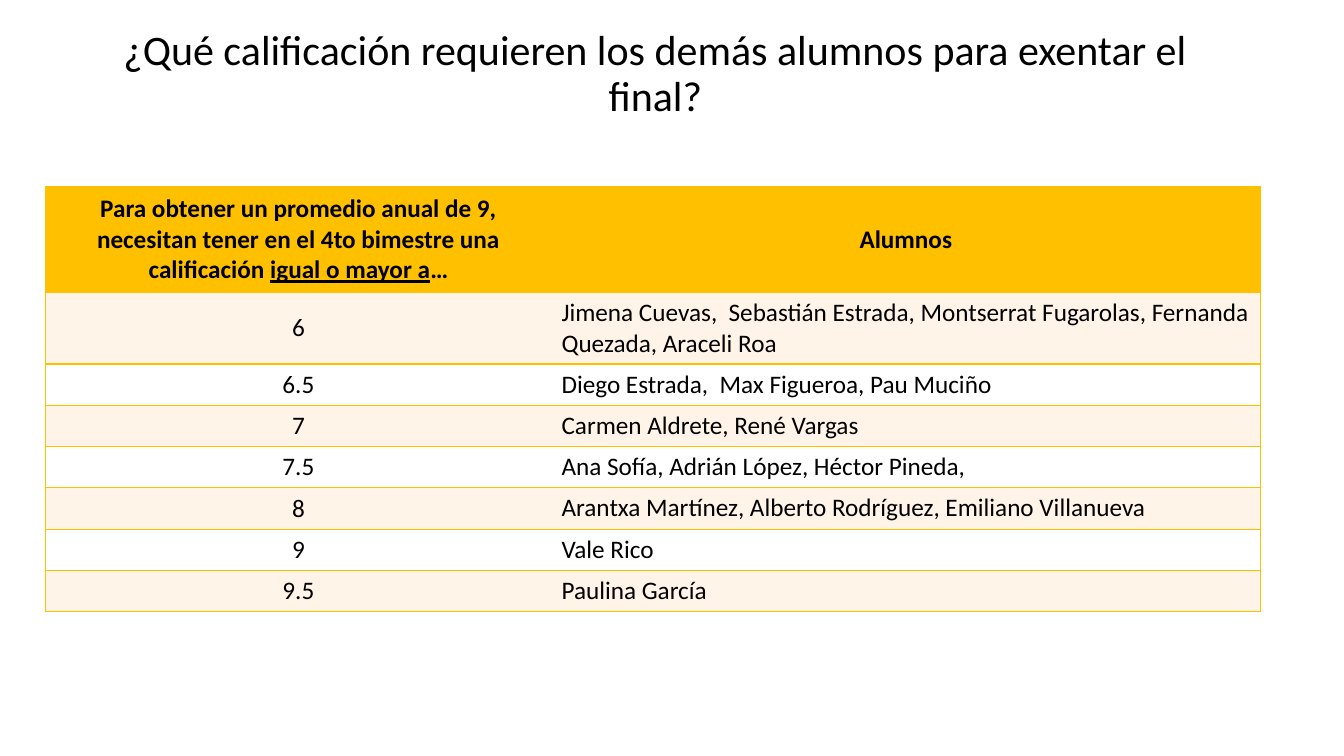
from lxml import etree
from pptx import Presentation
from pptx.dml.color import RGBColor
from pptx.enum.text import MSO_ANCHOR, MSO_AUTO_SIZE, PP_ALIGN
from pptx.oxml.ns import qn
from pptx.util import Inches, Pt

CENTER, LEFT = PP_ALIGN.CENTER, PP_ALIGN.LEFT
MIDDLE, TOP = MSO_ANCHOR.MIDDLE, MSO_ANCHOR.TOP
NO_AUTOFIT = MSO_AUTO_SIZE.NONE

BLACK = RGBColor(0x00, 0x00, 0x00)
WHITE = RGBColor(0xFF, 0xFF, 0xFF)
AMBER = RGBColor(0xFF, 0xC0, 0x00)
CREAM = RGBColor(0xFF, 0xF4, 0xE7)
FONT = "Calibri"

SLIDE_SIZE = (13.33, 7.5)
TITLE_BOX = (0.75, 0.02, 11.5, 1.45)
TABLE_BOX = (0.45, 1.85, 12.05, 4.22)
GRADE_SHARE = 5.02 / 12.05
HEADER_HEIGHT, TALL_HEIGHT, ROW_HEIGHT = 1.05, 0.71, 0.41

TITLE = "¿Qué calificación requieren los demás alumnos para exentar el final?"
# Each header span is (text, underlined)
GRADE_HEADER = [
    ("Para obtener un promedio anual de 9, necesitan tener en el 4to "
     "bimestre una calificación ", False),
    ("igual o mayor a", True),
    ("…", False),
]
STUDENTS_HEADER = [("Alumnos", False)]
STUDENTS_BY_GRADE = [
    ("6", "Jimena Cuevas,  Sebastián Estrada, Montserrat Fugarolas, "
          "Fernanda Quezada, Araceli Roa"),
    ("6.5", "Diego Estrada,  Max Figueroa, Pau Muciño"),
    ("7", "Carmen Aldrete, René Vargas"),
    ("7.5", "Ana Sofía, Adrián López, Héctor Pineda,"),
    ("8", "Arantxa Martínez, Alberto Rodríguez, Emiliano Villanueva"),
    ("9", "Vale Rico"),
    ("9.5", "Paulina García"),
]


def add_span(para, text, size, bold=False, underline=False):
    span = para.add_run()
    span.text = text
    span.font.name = FONT
    span.font.size = Pt(size)
    span.font.bold = bold
    span.font.underline = underline
    span.font.color.rgb = BLACK


def set_border(cell, side, color=None):
    """Draw a one-point border, or hide it when no colour is given."""
    line = etree.SubElement(cell._tc.get_or_add_tcPr(), qn(f"a:ln{side}"))
    if color is None:
        etree.SubElement(line, qn("a:noFill"))
        return
    line.set("w", str(Pt(1)))
    fill = etree.SubElement(line, qn("a:solidFill"))
    etree.SubElement(fill, qn("a:srgbClr")).set("val", str(color))


def fill_cell(cell, spans, color, outer_side, header=False, align=CENTER, anchor=MIDDLE):
    for side in "LRTB":
        visible = side in "TB" or side == outer_side
        set_border(cell, side, AMBER if visible else None)
    cell.fill.solid()
    cell.fill.fore_color.rgb = color
    cell.vertical_anchor = anchor
    para = cell.text_frame.paragraphs[0]
    para.alignment = align
    for text, underline in spans:
        add_span(para, text, 18, bold=header, underline=underline)


def place_title(page, box):
    title = page.shapes.title
    title.left, title.top, title.width, title.height = map(Inches, box)
    frame = title.text_frame
    frame.word_wrap = True
    frame.auto_size = NO_AUTOFIT
    frame.vertical_anchor = MIDDLE
    para = frame.paragraphs[0]
    para.alignment = CENTER
    para.line_spacing = 0.9
    add_span(para, TITLE, 30)


def place_grades_table(page, box):
    row_count = len(STUDENTS_BY_GRADE) + 1
    table = page.shapes.add_table(row_count, 2, *map(Inches, box)).table
    table.first_row = False
    table.horz_banding = False

    # Column and row sizes
    for column, share in zip(table.columns, (GRADE_SHARE, 1 - GRADE_SHARE)):
        column.width = Inches(box[2] * share)
    heights = [HEADER_HEIGHT, TALL_HEIGHT] + [ROW_HEIGHT] * (row_count - 2)
    for row, height in zip(table.rows, heights):
        row.height = Inches(height)

    # Header
    fill_cell(table.cell(0, 0), GRADE_HEADER, AMBER, "L", header=True)
    fill_cell(table.cell(0, 1), STUDENTS_HEADER, AMBER, "R", header=True)

    # Banded body
    for index, (grade, students) in enumerate(STUDENTS_BY_GRADE, start=1):
        color = CREAM if index % 2 else WHITE
        fill_cell(table.cell(index, 0), [(grade, False)], color, "L")
        fill_cell(table.cell(index, 1), [(students, False)], color, "R",
                  align=LEFT, anchor=TOP)


def main():
    deck = Presentation()
    deck.slide_width, deck.slide_height = map(Inches, SLIDE_SIZE)
    page = deck.slides.add_slide(deck.slide_layouts.get_by_name("Title Only"))
    page.background.fill.solid()
    page.background.fill.fore_color.rgb = WHITE
    place_title(page, TITLE_BOX)
    place_grades_table(page, TABLE_BOX)
    deck.save("out.pptx")


if __name__ == "__main__":
    main()
